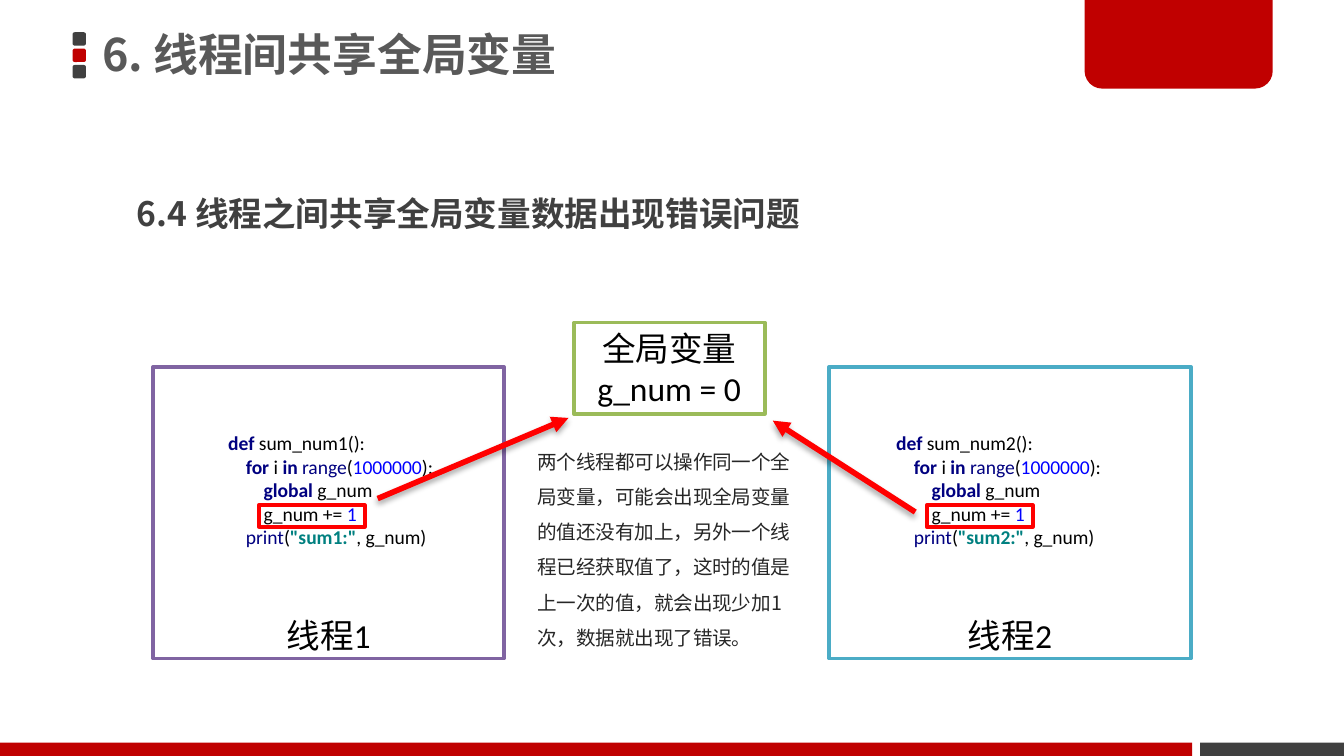
from dataclasses import dataclass
from lxml import etree
from pptx import Presentation
from pptx.dml.color import RGBColor
from pptx.enum.shapes import MSO_CONNECTOR, MSO_SHAPE
from pptx.enum.text import MSO_ANCHOR, PP_ALIGN
from pptx.oxml.ns import qn
from pptx.util import Inches, Pt

RECT = MSO_SHAPE.RECTANGLE
ROUND = MSO_SHAPE.ROUNDED_RECTANGLE
TAB = MSO_SHAPE.ROUND_2_SAME_RECTANGLE
LINE = MSO_CONNECTOR.STRAIGHT
TOP, MID, LOW = MSO_ANCHOR.TOP, MSO_ANCHOR.MIDDLE, MSO_ANCHOR.BOTTOM
LEFT, MIDST = PP_ALIGN.LEFT, PP_ALIGN.CENTER


@dataclass(frozen=True)
class Theme:
    latin: str = "Calibri"
    cjk: str = "Noto Sans CJK SC"
    dark: str = "404040"
    red: str = "C00000"
    grey: str = "595959"
    body: str = "262626"
    white: str = "FFFFFF"
    black: str = "000000"
    alert: str = "FF0000"
    left: str = "8064A2"
    right: str = "4BACC6"
    hub: str = "9BBB59"
    word: str = "000080"
    num: str = "0000FF"
    quote: str = "008080"
    title: float = 24
    head: float = 18
    small: float = 10.5


T = Theme()
COLS, ROWS = 100, 56.25
CELL = 10 / COLS


def grid(*cells):
    return [Inches(n * CELL) for n in cells]


def within(box, x, y, w, h):
    return box[0] + x, box[1] + y, w, h


def block(slide, box, kind=RECT, fill=None, edge=None):
    shape = slide.shapes.add_shape(kind, *grid(*box))
    shape.shadow.inherit = False
    if fill:
        shape.fill.solid()
        shape.fill.fore_color.rgb = RGBColor.from_string(fill)
    else:
        shape.fill.background()
    if edge:
        shape.line.color.rgb = RGBColor.from_string(edge)
        shape.line.width = Pt(2)
    else:
        shape.line.fill.background()
    return shape


def write(shape, paras, size=T.head, color=T.black, font=T.latin, bold=False,
          align=LEFT, anchor=TOP, space=None, wrap=True, pad=(1, 0.5)):
    frame = shape.text_frame
    frame.word_wrap = wrap
    frame.vertical_anchor = anchor
    frame.margin_left = frame.margin_right = Inches(pad[0] * CELL)
    frame.margin_top = frame.margin_bottom = Inches(pad[1] * CELL)
    for i, (level, runs) in enumerate(paras):
        para = frame.paragraphs[0] if i == 0 else frame.add_paragraph()
        para.alignment = align
        if space:
            para.line_spacing = space
        if level:
            props = para._p.get_or_add_pPr()
            props.set("marL", str(Inches(level * 1.32 * CELL)))
            props.set("indent", "0")
        for text, tint, heavy in runs:
            run = para.add_run()
            run.text = text
            run.font.size = Pt(size)
            run.font.name = font
            run.font.bold = heavy or bold
            run.font.color.rgb = RGBColor.from_string(tint or color)
            east = etree.Element(qn("a:ea"), typeface=T.cjk)
            run.font._element.find(qn("a:latin")).addnext(east)


def plain(*lines):
    return [(0, [(line, None, False)]) for line in lines]


def label(slide, box, paras, **form):
    write(slide.shapes.add_textbox(*grid(*box)), paras, **form)


def link(slide, start, end):
    line = slide.shapes.add_connector(LINE, *grid(*start, *end))
    line.line.color.rgb = RGBColor.from_string(T.alert)
    line.line.width = Pt(3)
    etree.SubElement(line.line._get_or_add_ln(), qn("a:tailEnd"), type="triangle")
    glow = etree.SubElement(line._element.spPr, qn("a:effectLst"))
    shade = etree.SubElement(glow, qn("a:outerShdw"), blurRad="40000",
                             dist="23000", dir="5400000", rotWithShape="0")
    tint = etree.SubElement(shade, qn("a:srgbClr"), val=T.black)
    etree.SubElement(tint, qn("a:alpha"), val="35000")


def code(num):
    def word(text): return text, T.word, True
    def name(text): return text, T.word, False
    def text(text): return text, T.black, False
    def digit(text): return text, T.num, False
    return [
        (0, [word("def "), text(f"sum_num{num}():")]),
        (1, [word("for "), text("i "), word("in "), name("range"), text("("),
             digit("1000000"), text("):")]),
        (2, [word("global "), text("g_num")]),
        (2, [text("g_num += "), digit("1")]),
        (1, [name("print"), text("("), (f'"sum{num}:"', T.quote, True),
             text(", g_num)")]),
    ]


def header(slide, box):
    for i, fill in enumerate((T.dark, T.red, T.dark)):
        block(slide, within(box, 0, i * 1.22, 1, 1), ROUND, fill)
    label(slide, within(box, 1.5, -2.6, 58.9, 8.9), plain("6. 线程间共享全局变量"),
          size=T.title, color=T.grey, font=T.cjk, bold=True, anchor=MID,
          space=0.9, pad=(0.7, 0.4))
    tab = block(slide, (80.7, 0, 14, 6.6), TAB, T.red)
    tab.adjustments[0], tab.adjustments[1] = 0, 0.2


def footer(slide, box):
    x, y, w, h = box
    block(slide, (x, y, w * 0.887, h), fill=T.red)
    block(slide, (x + w * 0.893, y, w * 0.107, h), fill=T.dark)


def thread(slide, box, num, edge, inset):
    panel = block(slide, box, fill=T.white, edge=edge)
    write(panel, plain(f"线程{num}"), align=MIDST, anchor=LOW, pad=(1, 0.25))
    label(slide, within(box, inset, 4.3, 17.6, 9.8), code(num),
          size=T.small, wrap=False)
    block(slide, within(box, inset + 3.25, 10.3, 7.9, 1.6), edge=T.alert)


def centre(slide, box):
    hub = block(slide, box, fill=T.white, edge=T.hub)
    write(hub, plain("全局变量", "g_num = 0"), align=MIDST, anchor=MID)
    label(slide, within(box, -3.7, 8.1, 21.1, 16.6), plain(
        "两个线程都可以操作同一个全局变量，可能会出现全局变量的值还没有加上，"
        "另外一个线程已经获取值了，这时的值是上一次的值，就会出现少加1次，"
        "数据就出现了错误。"),
        size=T.small, color=T.body, font=T.cjk, space=1.5)


def main():
    deck = Presentation()
    deck.slide_width, deck.slide_height = grid(COLS, ROWS)
    slide = deck.slides.add_slide(deck.slide_layouts[6])
    header(slide, (5.4, 2.4))
    footer(slide, (0, ROWS - 1, COLS, 1))
    label(slide, (9.2, 12.4, 54.2, 5.6), plain("6.4 线程之间共享全局变量数据出现错误问题"),
          color=T.dark, font=T.cjk, bold=True, space=1.5)
    thread(slide, (11.4, 27.3, 26.1, 21.7), 1, T.left, 4.6)
    thread(slide, (61.7, 27.3, 26.9, 21.7), 2, T.right, 4)
    centre(slide, (42.7, 24, 14.2, 6.8))
    link(slide, (28.1, 37.1), (42.3, 31.1))
    link(slide, (68.1, 38.1), (57.5, 31.3))
    deck.save("out.pptx")


main()
